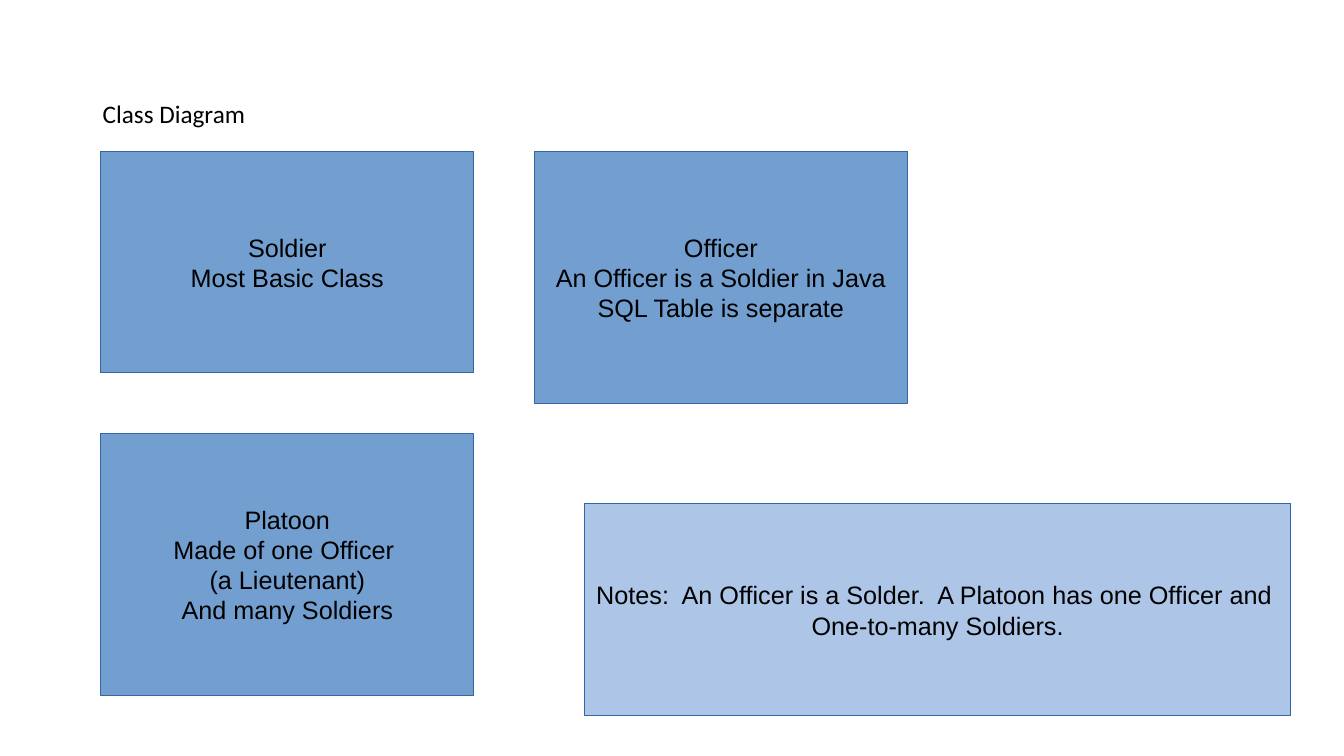
from dataclasses import dataclass

from pptx import Presentation
from pptx import util as u
from pptx.dml.color import RGBColor
from pptx.enum import shapes, text


@dataclass(frozen=True)
class Theme:
    ink: str = "000000"
    box: str = "729FCF"
    note: str = "ADC5E7"
    edge: str = "3465A4"
    head: str = "Calibri"
    body: str = "Arial"
    size: int = 18
    cell: float = 0.1


class Board:
    """Draws class boxes on one slide, placed by grid columns and rows."""

    def __init__(self, deck, theme):
        self.theme = theme
        self.slide = deck.slides.add_slide(deck.slide_layouts[6])

    def area(self, *cells):
        return [u.Inches(n * self.theme.cell) for n in cells]

    def label(self, shape, lines, font, align, wrap):
        frame = shape.text_frame
        frame.word_wrap = wrap
        frame.vertical_anchor = text.MSO_ANCHOR.MIDDLE
        frame.text = "\n".join(lines)
        for para in frame.paragraphs:
            para.alignment = align
            para.font.name = font
            para.font.size = u.Pt(self.theme.size)
            para.font.color.rgb = RGBColor.from_string(self.theme.ink)

    def title(self, col, row, wide, high, line):
        shape = self.slide.shapes.add_textbox(*self.area(col, row, wide, high))
        self.label(shape, [line], self.theme.head, text.PP_ALIGN.LEFT, True)

    def box(self, col, row, wide, high, lines, fill):
        shape = self.slide.shapes.add_shape(
            shapes.MSO_SHAPE.RECTANGLE, *self.area(col, row, wide, high))
        shape.shadow.inherit = False
        shape.fill.solid()
        shape.fill.fore_color.rgb = RGBColor.from_string(fill)
        shape.line.color.rgb = RGBColor.from_string(self.theme.edge)
        shape.line.width = u.Pt(0)
        self.label(shape, lines, self.theme.body, text.PP_ALIGN.CENTER, False)


def main():
    deck = Presentation()
    deck.slide_width = u.Inches(13.33)
    deck.slide_height = u.Inches(7.5)
    theme = Theme()
    board = Board(deck, theme)

    board.title(9.2, 4, 115, 14.5, "Class Diagram")
    classes = [
        (10, 15, 22, ["Soldier", "Most Basic Class"]),
        (53, 15, 25, ["Officer", "An Officer is a Soldier in Java",
                      "SQL Table is separate"]),
        (10, 43, 26, ["Platoon", "Made of one Officer ", "(a Lieutenant)",
                      "And many Soldiers"]),
    ]
    for col, row, high, lines in classes:
        board.box(col, row, 37, high, lines, theme.box)
    board.box(58, 50, 70, 21, [
        "Notes:  An Officer is a Solder.  A Platoon has one Officer and ",
        "One-to-many Soldiers."], theme.note)

    deck.save("out.pptx")


if __name__ == "__main__":
    main()
